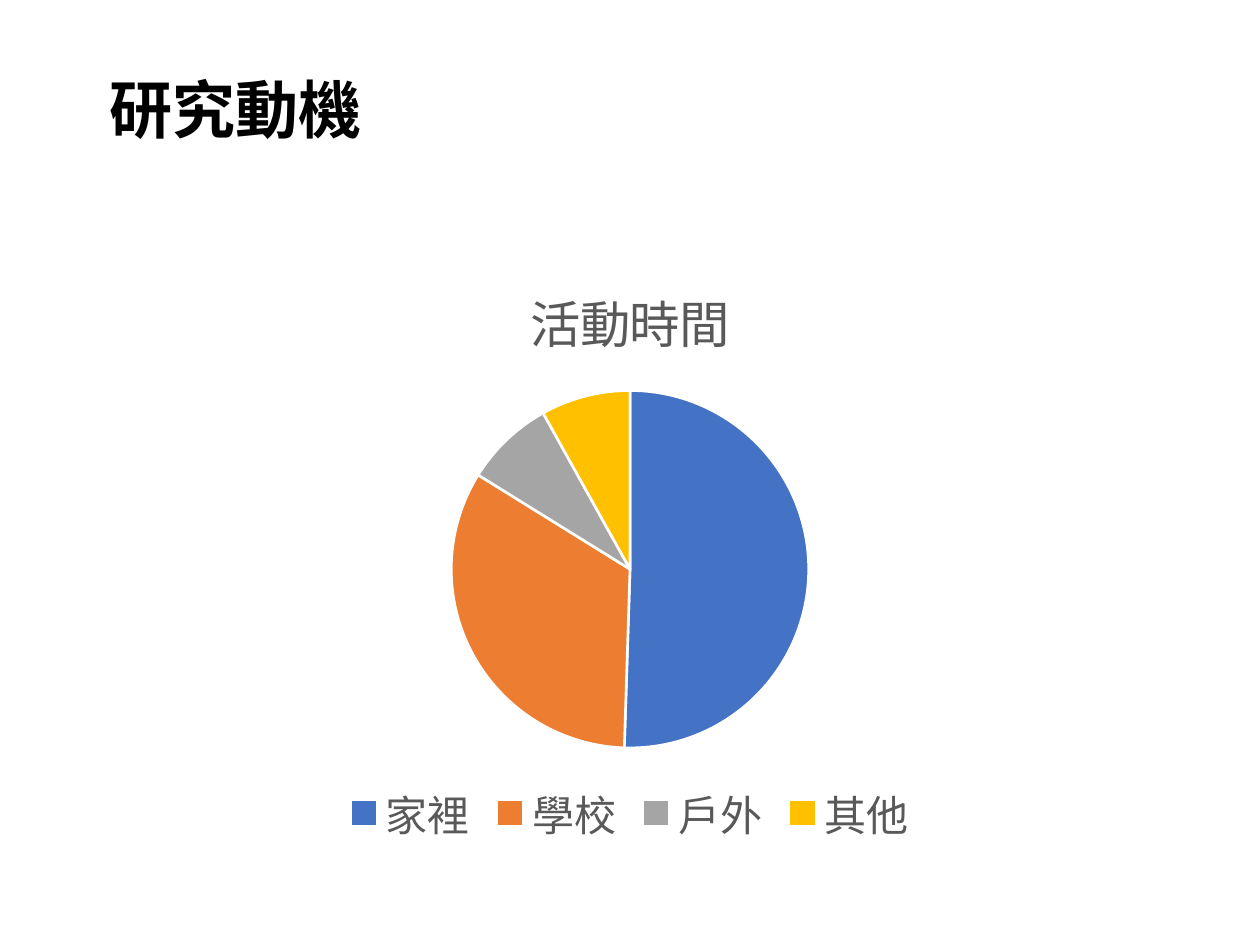
from dataclasses import dataclass

from lxml import etree
from pptx import Presentation
from pptx.chart.data import CategoryChartData
from pptx.dml.color import RGBColor
from pptx.enum.chart import XL_CHART_TYPE, XL_LEGEND_POSITION
from pptx.enum.text import MSO_AUTO_SIZE
from pptx.oxml.ns import qn
from pptx.util import Inches, Pt

PIE = XL_CHART_TYPE.PIE
LEGEND_BOTTOM = XL_LEGEND_POSITION.BOTTOM
FIT_SHAPE = MSO_AUTO_SIZE.SHAPE_TO_FIT_TEXT


@dataclass(frozen=True)
class Theme:
    heading_font: str = "Noto Sans CJK SC"
    chart_font: str = "Calibri"
    heading_size: float = 36
    chart_title_size: float = 28.8
    legend_size: float = 24
    ink: str = "000000"
    muted: str = "595959"
    paper: str = "FFFFFF"
    slices: tuple = ("4472C4", "ED7D31", "A5A5A5", "FFC000")


class SlideBuilder:
    def __init__(self, slide, theme):
        self.slide = slide
        self.theme = theme

    def style_font(self, font, name, size, color, bold=False):
        font.name = name
        font.size = Pt(size)
        font.bold = bold
        font.color.rgb = RGBColor.from_string(color)

    def heading(self, text, left, top, width, height):
        theme = self.theme
        box = self.slide.shapes.add_textbox(
            Inches(left), Inches(top), Inches(width), Inches(height))
        frame = box.text_frame
        frame.word_wrap = False
        frame.auto_size = FIT_SHAPE
        run = frame.paragraphs[0].add_run()
        run.text = text
        self.style_font(run.font, theme.heading_font, theme.heading_size,
                        theme.ink, bold=True)
        # Chinese glyphs use the East Asian font slot
        east_asian = etree.SubElement(run.font._element, qn("a:ea"))
        east_asian.set("typeface", theme.heading_font)

    def pie(self, title, shares, left, top, width, height):
        theme = self.theme
        data = CategoryChartData()
        data.categories = list(shares)
        data.add_series(title, list(shares.values()))
        chart = self.slide.shapes.add_chart(
            PIE, Inches(left), Inches(top), Inches(width), Inches(height),
            data).chart
        self.style_font(chart.font, theme.chart_font, theme.legend_size,
                        theme.ink)

        # Chart title
        chart.has_title = True
        chart.chart_title.include_in_layout = False
        title_run = chart.chart_title.text_frame.paragraphs[0].add_run()
        title_run.text = title
        self.style_font(title_run.font, theme.chart_font,
                        theme.chart_title_size, theme.muted)

        # Legend
        chart.has_legend = True
        chart.legend.position = LEGEND_BOTTOM
        chart.legend.include_in_layout = False
        self.style_font(chart.legend.font, theme.chart_font,
                        theme.legend_size, theme.muted)

        # Slices
        plot = chart.plots[0]
        plot.vary_by_categories = True
        for index, color in enumerate(theme.slices):
            slice_format = plot.series[0].points[index].format
            slice_format.fill.solid()
            slice_format.fill.fore_color.rgb = RGBColor.from_string(color)
            slice_format.line.color.rgb = RGBColor.from_string(theme.paper)
            slice_format.line.width = Pt(1.5)


def main():
    deck = Presentation()
    deck.slide_width, deck.slide_height = Inches(10), Inches(7.5)
    builder = SlideBuilder(deck.slides.add_slide(deck.slide_layouts[6]), Theme())

    # Activity time by place
    activity_shares = {"家裡": 50, "學校": 33, "戶外": 8, "其他": 8}
    builder.pie("活動時間", activity_shares, 0.69, 2, 8.62, 4.76)

    # Slide heading
    builder.heading("研究動機", 0.77, 0.51, 2.22, 0.71)

    deck.save("out.pptx")


if __name__ == "__main__":
    main()
